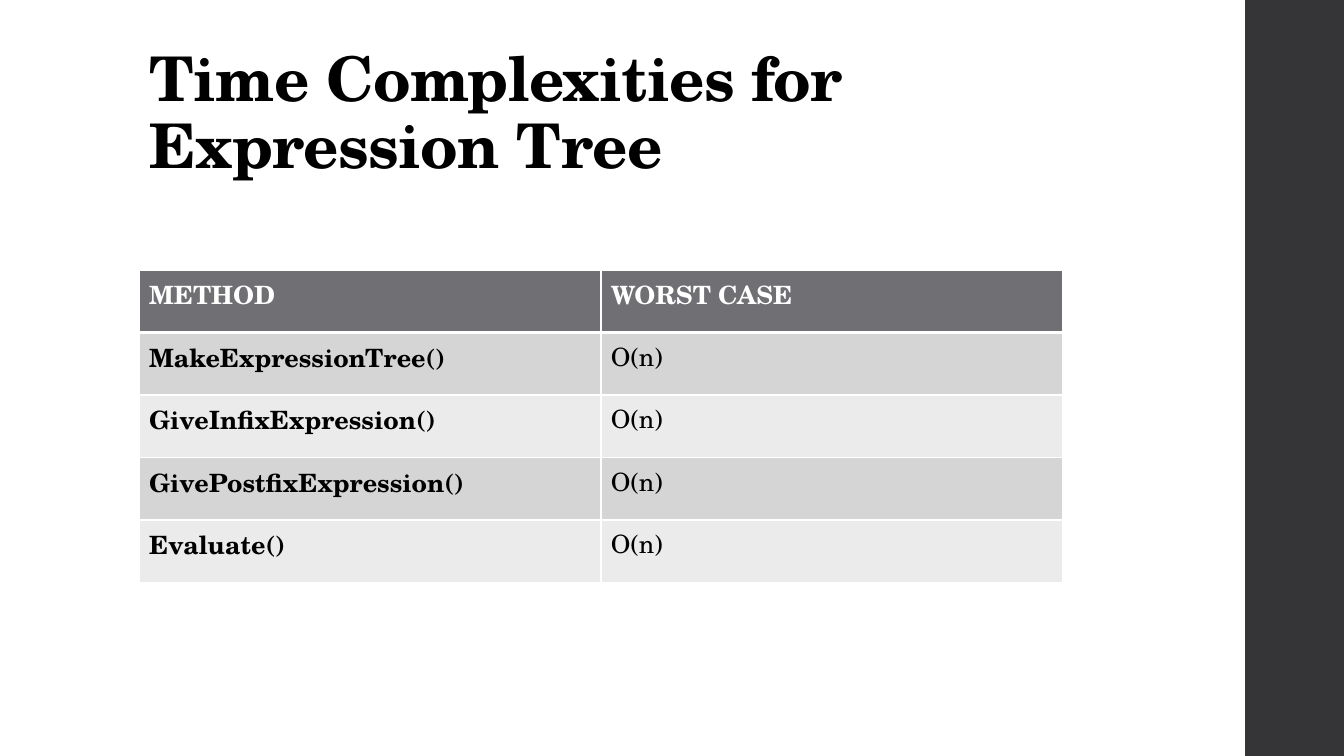
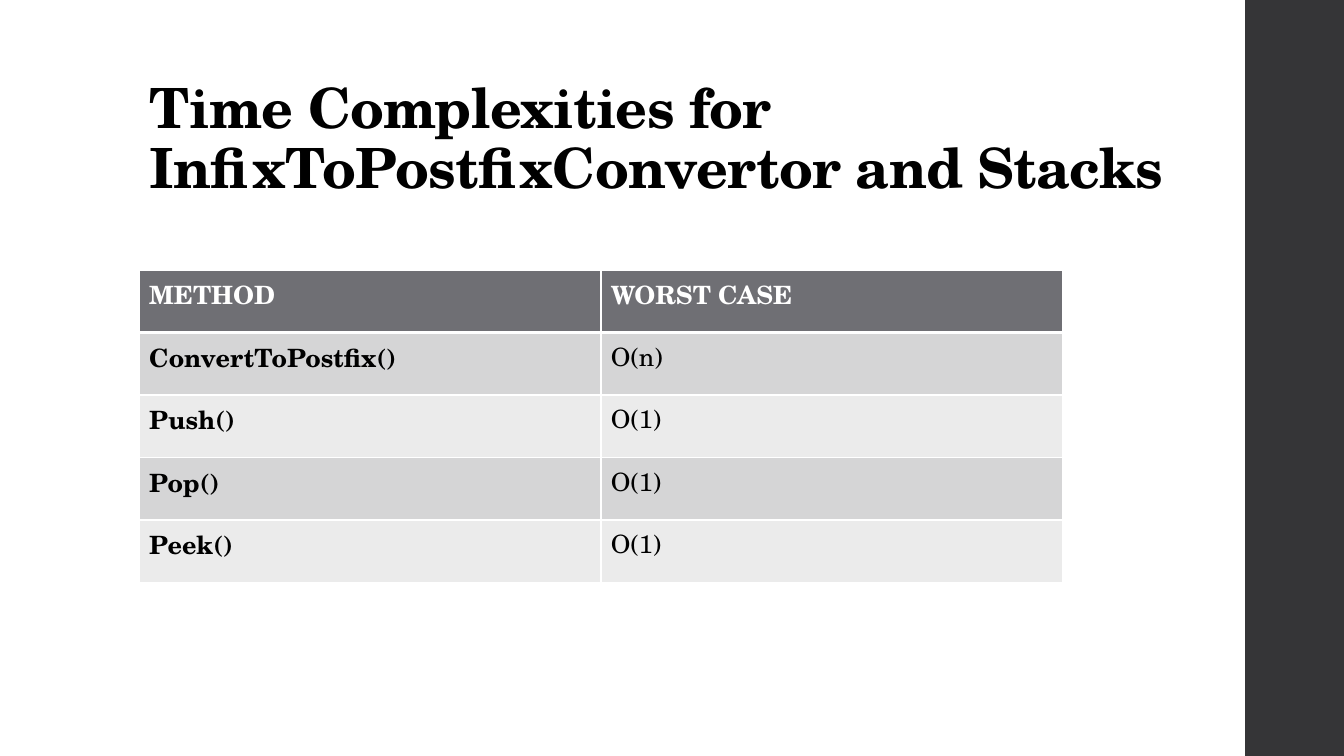
import dataclasses

import pptx
import pptx.dml.color
import pptx.enum.shapes
import pptx.enum.text
import pptx.oxml
import pptx.oxml.ns
import pptx.util
from pptx.util import Inches

# Shared style
FONT = "TeX Gyre Schola"
BLACK, WHITE = "000000", "FFFFFF"
BAND, HEADER = "353537", "6F6F74"
ROW_FILLS = ("D5D5D6", "EBEBEB")
SLIDE_W, SLIDE_H = 13.33, 7.5
LEFT = 1.38
BAND_LEFT = 12.35
TITLE_TOP, TITLE_W = 0.4, 10.6
TABLE_TOP, COL_W, ROW_H = 2.68, 4.58, 0.62
COLUMNS = ("METHOD", "WORST CASE")


@dataclasses.dataclass(frozen=True)
class ComplexitySlide:
    title: str
    title_size: float
    title_height: float
    methods: tuple[tuple[str, str], ...]


SLIDES = (
    ComplexitySlide("Time Complexities for Expression Tree", 44, 1.45, (
        ("MakeExpressionTree()", "O(n)"),
        ("GiveInfixExpression()", "O(n)"),
        ("GivePostfixExpression()", "O(n)"),
        ("Evaluate()", "O(n)"),
    )),
    ComplexitySlide("Time Complexities for InfixToPostfixConvertor and Stacks", 39.6, 1.64, (
        ("ConvertToPostfix()", "O(n)"),
        ("Push()", "O(1)"),
        ("Pop()", "O(1)"),
        ("Peek()", "O(1)"),
    )),
)


def rgb(value: str) -> pptx.dml.color.RGBColor:
    return pptx.dml.color.RGBColor.from_string(value)


def style_paragraph(p, size: float, color: str, bold: bool) -> None:
    p.font.name = FONT
    p.font.size = pptx.util.Pt(size)
    p.font.bold = bold
    p.font.color.rgb = rgb(color)


def add_band(s) -> None:
    band = s.shapes.add_shape(
        pptx.enum.shapes.MSO_SHAPE.RECTANGLE,
        Inches(BAND_LEFT), 0, Inches(SLIDE_W - BAND_LEFT), Inches(SLIDE_H))
    band.shadow.inherit = False
    band.fill.solid()
    band.fill.fore_color.rgb = rgb(BAND)
    band.line.fill.background()


def set_title(s, text: str, size: float, height: float) -> None:
    title = s.shapes.title
    title.left, title.top = Inches(LEFT), Inches(TITLE_TOP)
    title.width, title.height = Inches(TITLE_W), Inches(height)
    tf = title.text_frame
    tf.text = text
    tf.word_wrap = True
    tf.auto_size = pptx.enum.text.MSO_AUTO_SIZE.NONE
    tf.vertical_anchor = pptx.enum.text.MSO_ANCHOR.BOTTOM
    p = tf.paragraphs[0]
    p.alignment = pptx.enum.text.PP_ALIGN.LEFT
    p.line_spacing = 0.9
    style_paragraph(p, size, BLACK, True)
    # Letter spacing in hundredths of a point
    p.runs[0].font._element.set("spc", "-50")


def set_borders(cell, top: float, bottom: float) -> None:
    tc_pr = cell._tc.get_or_add_tcPr()
    widths = {"lnL": 1, "lnR": 1, "lnT": top, "lnB": bottom}
    for i, (tag, width) in enumerate(widths.items()):
        tc_pr.insert(i, pptx.oxml.parse_xml(
            f'<a:{tag} {pptx.oxml.ns.nsdecls("a")} w="{pptx.util.Pt(width)}">'
            f'<a:solidFill><a:srgbClr val="{WHITE}"/></a:solidFill></a:{tag}>'))


def add_complexity_table(s, methods: tuple[tuple[str, str], ...]) -> None:
    rows = (COLUMNS, *methods)
    table = s.shapes.add_table(
        len(rows), len(COLUMNS), Inches(LEFT), Inches(TABLE_TOP),
        Inches(COL_W * len(COLUMNS)), Inches(ROW_H * len(rows))).table
    for column in table.columns:
        column.width = Inches(COL_W)
    for r, texts in enumerate(rows):
        table.rows[r].height = Inches(ROW_H)
        is_header = r == 0
        for c, text in enumerate(texts):
            cell = table.cell(r, c)
            cell.text = text
            cell.fill.solid()
            cell.fill.fore_color.rgb = rgb(HEADER if is_header else ROW_FILLS[(r - 1) % 2])
            style_paragraph(cell.text_frame.paragraphs[0], 18,
                            WHITE if is_header else BLACK, is_header or c == 0)
            # The rule under the header is thicker
            set_borders(cell, top=3 if r == 1 else 1, bottom=3 if is_header else 1)


# Build the slides
prs = pptx.Presentation()
prs.slide_width, prs.slide_height = Inches(SLIDE_W), Inches(SLIDE_H)
title_only = prs.slide_layouts[5]
for content in SLIDES:
    s = prs.slides.add_slide(title_only)
    add_band(s)
    set_title(s, content.title, content.title_size, content.title_height)
    add_complexity_table(s, content.methods)
prs.save("out.pptx")
